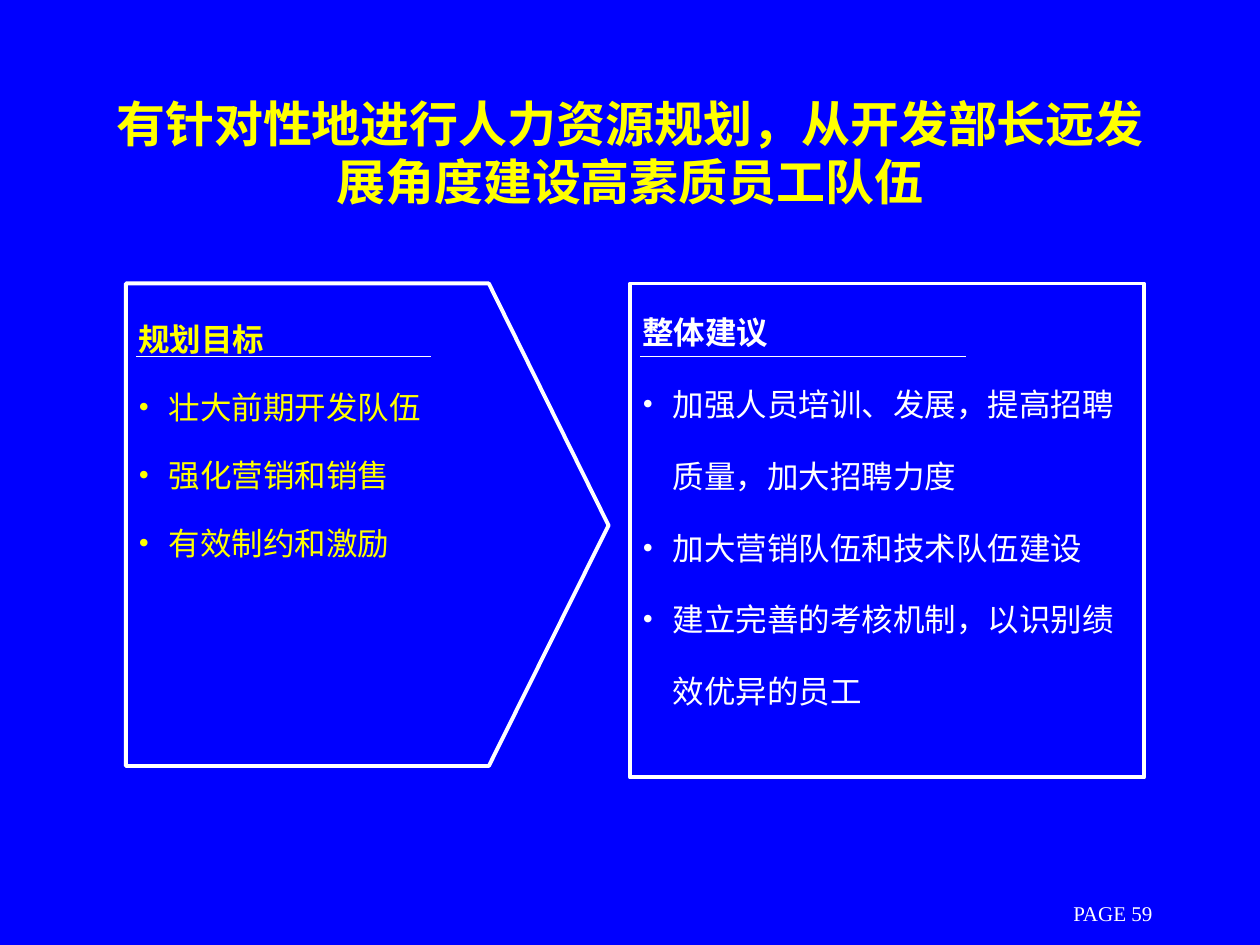
from lxml import etree
from pptx import Presentation
from pptx.dml.color import RGBColor
from pptx.enum import shapes, text
from pptx.oxml.ns import qn
from pptx.util import Inches, Pt

BLUE, WHITE, YELLOW = "0000FF", "FFFFFF", "FFFF00"
SERIF, SANS = "Times New Roman", "Noto Sans CJK SC"


def color(code):
    return RGBColor.from_string(code)


def style(para, size, code, bold=False, face=SERIF):
    font = para.font
    font.size, font.bold, font.name = Pt(size), bold, face
    font.color.rgb = color(code)
    etree.SubElement(font._element, qn("a:ea"), typeface=SANS)


def bullet(para):
    props = para._p.get_or_add_pPr()
    props.set("marL", str(Inches(0.24)))
    props.set("indent", str(-Inches(0.24)))
    etree.SubElement(props, qn("a:buFont"), typeface=SERIF)
    etree.SubElement(props, qn("a:buChar"), char="•")


def label(slide, box, words, size, code, wrap=True, **look):
    frame = slide.shapes.add_textbox(*map(Inches, box)).text_frame
    frame.word_wrap = wrap
    frame.vertical_anchor = text.MSO_ANCHOR.MIDDLE
    para = frame.paragraphs[0]
    para.text = words
    style(para, size, code, **look)
    return para


def panel(shape, head, items, code, space, anchor, bottom=0.05):
    shape.shadow.inherit = False
    shape.fill.background()
    shape.line.color.rgb = color(WHITE)
    shape.line.width = Pt(2.25)
    frame = shape.text_frame
    frame.word_wrap = True
    frame.vertical_anchor = anchor
    frame.margin_bottom = Inches(bottom)
    for row, words in enumerate([head] + items):
        para = frame.add_paragraph() if row else frame.paragraphs[0]
        para.text = words
        para.alignment = text.PP_ALIGN.LEFT
        para.line_spacing = space
        if row:
            bullet(para)
        style(para, 18, code, bold=not row)


def arrow(slide):
    pts = [(1, 2.25), (3.88, 2.25), (4.83, 4.17), (3.88, 6.08), (1, 6.08)]
    pts = [(Inches(x), Inches(y)) for x, y in pts]
    path = slide.shapes.build_freeform(*pts[0])
    path.add_line_segments(pts[1:], close=True)
    return path.convert_to_shape()


def rule(slide, left, right, top):
    line = slide.shapes.add_connector(
        shapes.MSO_CONNECTOR.STRAIGHT, *map(Inches, (left, top, right, top)))
    line.line.color.rgb = color(WHITE)
    line.line.width = Pt(0.75)
    etree.SubElement(line._element.spPr, qn("a:effectLst"))


def main():
    deck = Presentation()
    deck.slide_width, deck.slide_height = Inches(10), Inches(7.5)
    slide = deck.slides.add_slide(deck.slide_layouts[6])
    slide.background.fill.solid()
    slide.background.fill.fore_color.rgb = color(BLUE)

    label(slide, (8.42, 7.12, 1.67, 0.25), "PAGE 59", 12, WHITE, wrap=False)
    title = label(slide, (0.75, 0.58, 8.5, 1.25),
                  "有针对性地进行人力资源规划，从开发部长远发展角度建设高素质员工队伍",
                  28, YELLOW, bold=True, face=SANS)
    title.alignment = text.PP_ALIGN.CENTER

    panel(arrow(slide), "规划目标",
          ["壮大前期开发队伍", "强化营销和销售", "有效制约和激励"],
          YELLOW, 1.8, text.MSO_ANCHOR.TOP)
    rect = slide.shapes.add_shape(
        shapes.MSO_SHAPE.RECTANGLE, *map(Inches, (5, 2.25, 4.08, 3.92)))
    panel(rect, "整体建议",
          ["加强人员培训、发展，提高招聘质量，加大招聘力度",
           "加大营销队伍和技术队伍建设",
           "建立完善的考核机制，以识别绩效优异的员工"],
          WHITE, 1.9, text.MSO_ANCHOR.MIDDLE, bottom=0.62)

    rule(slide, 1.08, 3.42, 2.83)
    rule(slide, 5.08, 7.67, 2.83)
    deck.save("out.pptx")


if __name__ == "__main__":
    main()
